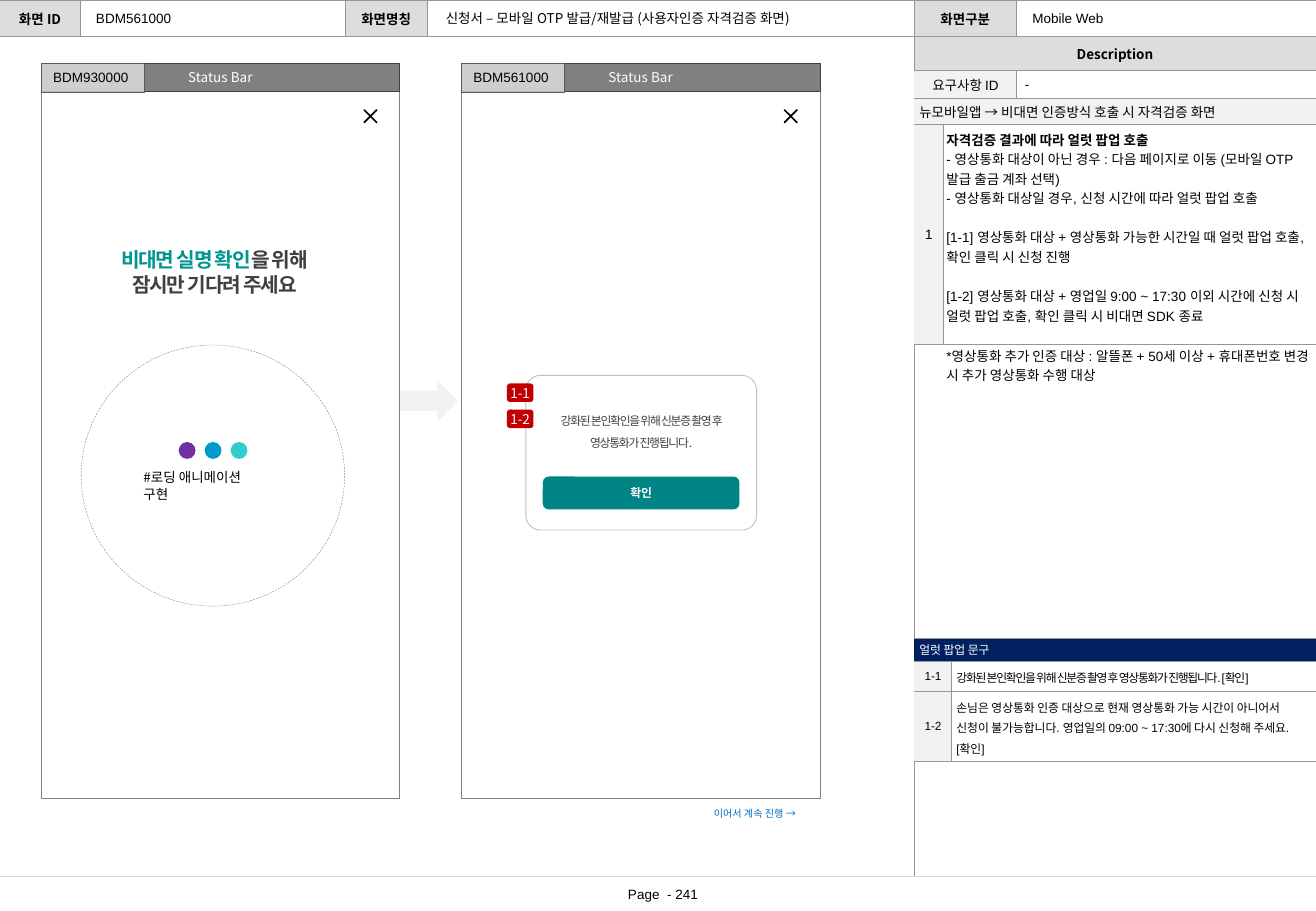
from dataclasses import dataclass

from lxml import etree
from pptx import Presentation
from pptx.dml.color import RGBColor
from pptx.enum.dml import MSO_LINE
from pptx.enum.shapes import MSO_CONNECTOR, MSO_SHAPE
from pptx.enum.text import MSO_ANCHOR, PP_ALIGN
from pptx.oxml.ns import qn
from pptx.util import Pt

LEFT, CENTER = PP_ALIGN.LEFT, PP_ALIGN.CENTER
TOP, MIDDLE = MSO_ANCHOR.TOP, MSO_ANCHOR.MIDDLE
RECT, ROUND, OVAL = MSO_SHAPE.RECTANGLE, MSO_SHAPE.ROUNDED_RECTANGLE, MSO_SHAPE.OVAL
ARROW, CROSS = MSO_SHAPE.RIGHT_ARROW, MSO_SHAPE.MATH_MULTIPLY
DASH, STRAIGHT = MSO_LINE.DASH, MSO_CONNECTOR.STRAIGHT


@dataclass(frozen=True)
class Theme:
    latin: str = "Arial"
    korean: str = "Noto Sans CJK KR"
    black: str = "000000"
    white: str = "FFFFFF"
    text: str = "404040"
    grid: str = "969696"
    label: str = "DDDDDD"
    pale: str = "F2F2F2"
    gray: str = "808080"
    tab_line: str = "595959"
    soft_line: str = "BFBFBF"
    footer_line: str = "D9D9D9"
    teal: str = "009591"
    button: str = "008485"
    badge: str = "C00000"
    navy: str = "002060"
    link: str = "0070C0"
    dots: tuple = ("7030A0", "0099CC", "33CCCC")
    headline: float = 12
    body: float = 8
    small: float = 7
    tiny: float = 6


T = Theme()
BODY = {"size": T.body, "color": T.black, "name": T.latin}
KOREAN = BODY | {"name": T.korean}
BOLD = KOREAN | {"bold": True}
SMALL = BODY | {"size": T.small}
TIGHT = SMALL | {"spacing": -70}
INVERSE = KOREAN | {"color": T.white}
HEADLINE = {"size": T.headline, "color": T.text, "name": T.latin, "bold": True, "spacing": -70}


def apply(target, values):
    for key, value in values.items():
        setattr(target, key, value)


def rgb(color):
    return RGBColor.from_string(color)


def margins(all_sides=None, left=7.2, top=3.6):
    """Margins in points, one value for all sides or one for each direction."""
    x, y = (left, top) if all_sides is None else (all_sides, all_sides)
    return {"margin_left": Pt(x), "margin_right": Pt(x), "margin_top": Pt(y), "margin_bottom": Pt(y)}


def write(frame, content, style, align=LEFT, spacing=None, gaps=()):
    """Fill a frame; content is a string or a list of paragraphs, each a string or (text, style) runs."""
    paragraphs = [content] if isinstance(content, str) else content
    for i, runs in enumerate(paragraphs):
        paragraph = frame.paragraphs[0] if i == 0 else frame.add_paragraph()
        apply(paragraph, {"alignment": align, "line_spacing": spacing})
        if i in gaps:
            paragraph.space_before = spacing
        for text, run_style in ([(runs, style)] if isinstance(runs, str) else runs):
            run = paragraph.add_run()
            run.text = text
            font = run.font
            apply(font, {"size": Pt(run_style["size"]), "name": run_style["name"],
                         "bold": run_style.get("bold", False)})
            font.color.rgb = rgb(run_style["color"])
            properties = run._r.get_or_add_rPr()
            etree.SubElement(properties, qn("a:ea"), typeface=T.korean)
            if "spacing" in run_style:
                properties.set("spc", str(run_style["spacing"]))


def add_text(slide, box, content, style, align=LEFT, anchor=TOP, wrap=True, inset=None, spacing=None):
    frame = slide.shapes.add_textbox(*map(Pt, box)).text_frame
    apply(frame, {"word_wrap": wrap, "vertical_anchor": anchor} | margins(inset))
    write(frame, content, style, align, spacing)


def add_shape(slide, kind, box, fill=None, line=None, width=0.25, adjust=None):
    shape = slide.shapes.add_shape(kind, *map(Pt, box))
    shape.shadow.inherit = False
    if fill:
        shape.fill.solid()
        shape.fill.fore_color.rgb = rgb(fill)
    else:
        shape.fill.background()
    if line:
        shape.line.color.rgb = rgb(line)
        shape.line.width = Pt(width)
    else:
        shape.line.fill.background()
    if adjust is not None:
        shape.adjustments[0] = adjust
    return shape


def label_shape(shape, text, style, align=CENTER, wrap=True):
    apply(shape.text_frame, {"word_wrap": wrap, "vertical_anchor": MIDDLE} | margins())
    write(shape.text_frame, text, style, align)


def add_table(slide, left, top, columns, rows):
    """Add a white grid that is open on its left side."""
    table = slide.shapes.add_table(len(rows), len(columns), Pt(left), Pt(top),
                                   Pt(sum(columns)), Pt(sum(rows))).table
    apply(table, {"first_row": False, "horz_banding": False})
    for column, width in zip(table.columns, columns):
        column.width = Pt(width)
    for row, height in zip(table.rows, rows):
        row.height = Pt(height)
    for i, cell in enumerate(table.iter_cells()):
        properties = cell._tc.get_or_add_tcPr()
        for side in ("lnL", "lnR", "lnT", "lnB"):
            border = etree.SubElement(properties, qn(f"a:{side}"), w=str(Pt(0.25)))
            if side == "lnL" and i % len(columns) == 0:
                etree.SubElement(border, qn("a:noFill"))
            else:
                etree.SubElement(etree.SubElement(border, qn("a:solidFill")), qn("a:srgbClr"), val=T.grid)
        cell.fill.solid()
        cell.fill.fore_color.rgb = rgb(T.white)
        apply(cell, margins(left=2.9, top=1.8))
        paragraph = cell.text_frame.paragraphs[0]
        paragraph.font.size = Pt(T.body)
        etree.SubElement(paragraph._p, qn("a:endParaRPr"), sz=str(T.body * 100))
    return table


def fill_cell(cell, content, style, fill=T.white, align=LEFT, anchor=MIDDLE, spacing=None, gaps=()):
    cell.fill.fore_color.rgb = rgb(fill)
    cell.vertical_anchor = anchor
    write(cell.text_frame, content, style, align, spacing, gaps)


def page_grid(slide):
    table = add_table(slide, 0, 0, (47.5, 157, 49, 288.5, 60.5, 177.5), (21.6, 20, 478))
    table.cell(1, 0).merge(table.cell(2, 3))
    for row in (1, 2):
        table.cell(row, 4).merge(table.cell(row, 5))
    for row, column, label in ((0, 0, "화면 ID"), (0, 2, "화면명칭"), (0, 4, "화면구분"), (1, 4, "Description")):
        fill_cell(table.cell(row, column), label, BOLD, T.label, CENTER)
    for left, width, value, style in ((49.8, 68, "BDM561000", BODY),
                                      (257.2, 282, "신청서 – 모바일 OTP 발급/재발급 (사용자인증 자격검증 화면)", KOREAN),
                                      (604.8, 170, "Mobile Web", BODY)):
        add_text(slide, (left, 2.2, width, 17.5), value, style, anchor=MIDDLE)


def footer(slide, top, width):
    rule = slide.shapes.add_connector(STRAIGHT, 0, Pt(top), Pt(width), Pt(top))
    rule.line.color.rgb = rgb(T.footer_line)
    rule.line.width = Pt(0.5)
    etree.SubElement(rule._element.spPr, qn("a:effectLst"))
    add_text(slide, (width / 2 - 57, top, 120, 20.4), "Page  - 241", BODY, CENTER, MIDDLE)


def phone(slide, box, code):
    left, top, width, _ = box
    add_shape(slide, RECT, box, T.white, T.gray)
    status_bar = add_shape(slide, RECT, (left, top, width, 16.7), T.gray, T.text)
    label_shape(status_bar, "Status Bar", INVERSE)
    add_shape(slide, CROSS, (left + 188, top + 24.2, 14.4, 14.4), T.black, T.black, 1, 0)
    code_tab = add_shape(slide, RECT, (left, top, 61, 17), T.pale, T.tab_line)
    tint = code_tab._element.spPr.find(qn("a:solidFill"))[0]
    etree.SubElement(tint, qn("a:alpha"), val="69000")
    label_shape(code_tab, code, BODY, LEFT, wrap=False)


def loading_screen(slide, box):
    left, top, *_ = box
    phone(slide, box, "BDM930000")
    headline = [[("비대면 실명 확인", HEADLINE | {"color": T.teal}), ("을 위해", HEADLINE)], "잠시만 기다려 주세요"]
    add_text(slide, (left + 40.5, top + 109, 124.5, 29), headline, HEADLINE,
             CENTER, MIDDLE, wrap=False, inset=0, spacing=Pt(14.8))
    circle = add_shape(slide, OVAL, (left + 23.7, top + 167, 156.2, 154.8), line=T.gray)
    circle.line.dash_style = DASH
    for i, color in enumerate(T.dots):
        add_shape(slide, OVAL, (left + 81.5 + 15.4 * i, top + 224.5, 10, 10), color)
    add_text(slide, (left + 53.5, top + 236.5, 82, 28), "#로딩 애니메이션 구현", KOREAN, spacing=Pt(10.2))


def popup_screen(slide, box):
    left, top, width, height = box
    phone(slide, box, "BDM561000")
    add_shape(slide, ROUND, (left + 38.2, top + 185, 136.8, 91.7), T.white, T.soft_line, 0.5, 0.095)
    button = add_shape(slide, ROUND, (left + 48.2, top + 245, 116.6, 19.5), T.button, adjust=0.186)
    label_shape(button, "확인", BOLD | {"size": T.small, "color": T.white})
    add_text(slide, (left + 48.2, top + 203.7, 116.6, 25.2), "강화된 본인확인을 위해 신분증 촬영 후 영상통화가 진행됩니다.",
             TIGHT | {"name": T.korean, "color": T.text}, CENTER, inset=0, spacing=1.5)
    for i, number in enumerate(("1-1", "1-2")):
        badge = add_shape(slide, ROUND, (left + 27, top + 189.8 + 15.5 * i, 15.7, 11), T.badge)
        label_shape(badge, number, INVERSE, wrap=False)
    add_text(slide, (left + width - 70, top + height + 2, 69, 14.4), "이어서 계속 진행 →",
             KOREAN | {"size": T.tiny, "color": T.link}, wrap=False)


def description(slide, left, top):
    requirement = add_table(slide, left, top, (60.5, 177.5), (16.7,))
    fill_cell(requirement.cell(0, 0), "요구사항 ID", BODY, T.pale, CENTER)
    fill_cell(requirement.cell(0, 1), "-", BODY)
    requirement.cell(0, 1).margin_left = Pt(5)

    rules = add_table(slide, left, top + 16.7, (17, 221), (15.5, 130.4))
    rules.cell(0, 0).merge(rules.cell(0, 1))
    fill_cell(rules.cell(0, 0), "뉴모바일앱 → 비대면 인증방식 호출 시 자격검증 화면", BODY, T.pale)
    fill_cell(rules.cell(1, 0), "1", BODY, T.pale, CENTER)
    details = [
        [("자격검증 결과에 따라 얼럿 팝업 호출", BODY | {"bold": True})],
        "- 영상통화 대상이 아닌 경우 : 다음 페이지로 이동 (모바일 OTP 발급 출금 계좌 선택)",
        "- 영상통화 대상일 경우, 신청 시간에 따라 얼럿 팝업 호출",
        "[1-1] 영상통화 대상 + 영상통화 가능한 시간일 때 얼럿 팝업 호출, 확인 클릭 시 신청 진행",
        "[1-2] 영상통화 대상 + 영업일 9:00 ~ 17:30 이외 시간에 신청 시 얼럿 팝업 호출, 확인 클릭 시 비대면 SDK 종료",
    ]
    apply(rules.cell(1, 1), margins(left=2, top=2.9) | {"margin_right": Pt(6.5)})
    fill_cell(rules.cell(1, 1), details, BODY, anchor=TOP, spacing=Pt(11.6), gaps=(3, 4))
    add_text(slide, (left + 17, top + 160.4, 221, 28), "*영상통화 추가 인증 대상 : 알뜰폰 + 50세 이상 + 휴대폰번호 변경 시 추가 영상통화 수행 대상",
             BODY, inset=2, spacing=Pt(11.6))


def alert_messages(slide, left, top):
    table = add_table(slide, left, top, (22, 216), (14, 17.8, 41.5))
    table.cell(0, 0).merge(table.cell(0, 1))
    fill_cell(table.cell(0, 0), "얼럿 팝업 문구", SMALL | {"color": T.white}, T.navy)
    messages = (("1-1", "강화된 본인확인을 위해 신분증 촬영 후 영상통화가 진행됩니다. [확인]", TIGHT),
                ("1-2", "손님은 영상통화 인증 대상으로 현재 영상통화 가능 시간이 아니어서 신청이 불가능합니다. "
                        "영업일의 09:00 ~ 17:30에 다시 신청해 주세요. [확인]", SMALL))
    for row, (number, message, style) in enumerate(messages, 1):
        fill_cell(table.cell(row, 0), number, SMALL, T.pale, CENTER)
        fill_cell(table.cell(row, 1), message, style, spacing=Pt(12))


def main():
    deck = Presentation()
    apply(deck, {"slide_width": Pt(780), "slide_height": Pt(540)})
    slide = deck.slides.add_slide(deck.slide_layouts[6])
    page_grid(slide)
    footer(slide, 519.6, 780)
    add_shape(slide, ARROW, (232.6, 225.4, 38.9, 24.5), T.pale)
    loading_screen(slide, (24.4, 37.5, 212.5, 435.7))
    popup_screen(slide, (273.5, 37.5, 212.5, 435.7))
    description(slide, 542, 41.6)
    alert_messages(slide, 542, 378)
    deck.save("out.pptx")


if __name__ == "__main__":
    main()
